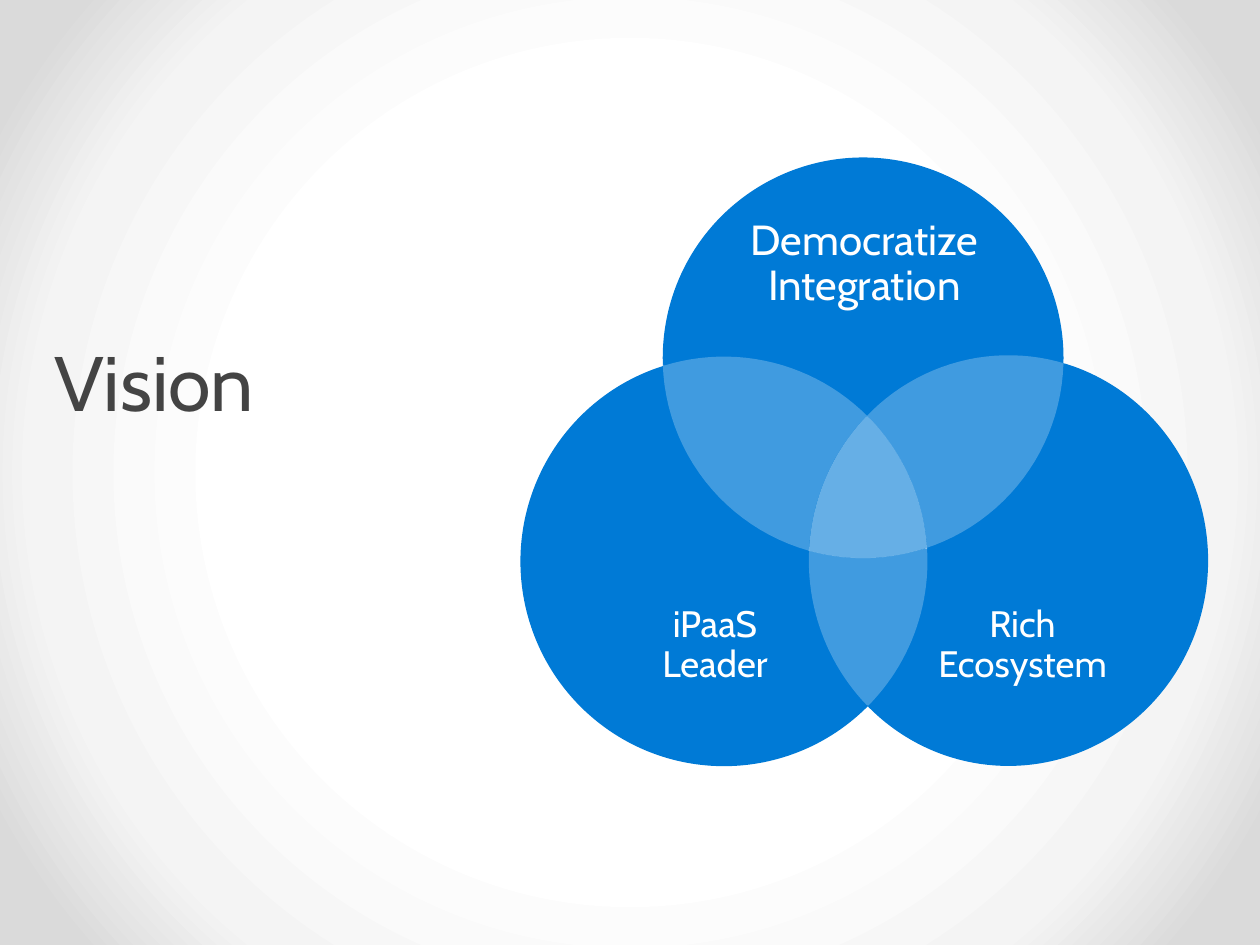
from math import atan2, cos, pi, sin

from pptx import Presentation
from pptx.dml.color import RGBColor
from pptx.enum.shapes import MSO_SHAPE
from pptx.enum.text import MSO_ANCHOR, PP_ALIGN
from pptx.oxml import parse_xml
from pptx.oxml.ns import nsdecls, qn
from pptx.util import Pt

FONT = "Cabin"
BLUE, WHITE, GREY = "007AD6", "FFFFFF", "444444"
BACKDROP = [(50, WHITE), (76, "F4F4F4"), (92, "DADADA")]

# left, top, width, height
TOP = (378.7, 90, 229, 229)
LEFT = (297.4, 203.8, 232.6, 234)
RIGHT = (462.2, 203, 228.2, 234.7)

# points where two circles cross
UPPER, LOWER = (495.4, 238.3), (495.4, 402.5)
INNER_LEFT, INNER_RIGHT = (462.2, 313.9), (528.5, 313.9)
OUTER_LEFT, OUTER_RIGHT = (379.4, 208.1), (609.1, 208.1)


def color(value):
    """Turn a hex string into a colour."""
    return RGBColor.from_string(value)


def set_backdrop(slide):
    """Give the slide its round gradient."""
    stops = "".join(
        f'<a:gs pos="{percent * 1000}"><a:srgbClr val="{value}"/></a:gs>'
        for percent, value in BACKDROP
    )
    slide.element.cSld.insert(0, parse_xml(
        f'<p:bg {nsdecls("p", "a")}><p:bgPr><a:gradFill rotWithShape="1">'
        f'<a:gsLst>{stops}</a:gsLst><a:path path="circle">'
        '<a:fillToRect l="50000" t="50000" r="50000" b="50000"/></a:path>'
        '</a:gradFill><a:effectLst/></p:bgPr></p:bg>'
    ))


def paint(shape, value, opacity=100):
    """Fill a shape without outline or shadow."""
    shape.shadow.inherit = False
    shape.line.fill.background()
    shape.fill.solid()
    shape.fill.fore_color.rgb = color(value)
    if opacity < 100:
        tint = shape.element.spPr.find(qn("a:solidFill"))[0]
        tint.append(parse_xml(f'<a:alpha {nsdecls("a")} val="{opacity * 1000}"/>'))


def format_text(frame, size, value, align):
    """Apply one style to all the text in a frame."""
    for paragraph in frame.paragraphs:
        paragraph.alignment = align
        paragraph.line_spacing = 0.9
        for run in paragraph.runs:
            run.font.name = FONT
            run.font.size = Pt(size)
            run.font.color.rgb = color(value)


def add_title(slide, wording):
    """Place the slide title."""
    title = slide.shapes.title
    title.left, title.top, title.width, title.height = map(Pt, (22.3, 192.2, 263.5, 59))
    frame = title.text_frame
    frame.text = wording
    frame.vertical_anchor = MSO_ANCHOR.TOP
    frame.margin_left = frame.margin_right = Pt(8.6)
    frame.margin_top = frame.margin_bottom = Pt(5)
    format_text(frame, 44.1, GREY, PP_ALIGN.LEFT)


def add_circle(slide, box):
    """Draw one circle of the diagram."""
    paint(slide.shapes.add_shape(MSO_SHAPE.OVAL, *map(Pt, box)), BLUE)


def add_label(slide, box, wording, size, wrap=True):
    """Write the label of a circle."""
    frame = slide.shapes.add_textbox(*map(Pt, box)).text_frame
    frame.word_wrap = wrap
    frame.text = wording
    format_text(frame, size, WHITE, PP_ALIGN.CENTER)


def arc(box, start, end, steps=24):
    """Return points along the shorter arc of a circle."""
    left, top, width, height = box
    rx, ry = width / 2, height / 2
    cx, cy = left + rx, top + ry
    first, last = (atan2((y - cy) / ry, (x - cx) / rx) for x, y in (start, end))
    sweep = (last - first + pi) % (2 * pi) - pi
    angles = [first + sweep * step / steps for step in range(steps + 1)]
    return [(Pt(cx + rx * cos(a)), Pt(cy + ry * sin(a))) for a in angles]


def add_overlap(slide, corners, circles, opacity):
    """Lighten the region bounded by arcs between its corners."""
    ends = corners[1:] + corners[:1]
    outline = [point for side in zip(circles, corners, ends) for point in arc(*side)]
    builder = slide.shapes.build_freeform(*outline[0])
    builder.add_line_segments(outline[1:], close=True)
    paint(builder.convert_to_shape(), WHITE, opacity)


def main():
    """Build the vision slide."""
    deck = Presentation()
    deck.slide_width, deck.slide_height = Pt(720), Pt(540)
    slide = deck.slides.add_slide(deck.slide_layouts[5])
    set_backdrop(slide)
    add_title(slide, "Vision")

    add_circle(slide, TOP)
    add_label(slide, (419, 121.7, 149.8, 59.8), "Democratize\nIntegration", 24, wrap=False)

    add_circle(slide, LEFT)
    add_label(slide, (328.3, 342.7, 160.6, 53.3), "iPaaS\nLeader", 21)
    add_overlap(slide, [OUTER_LEFT, UPPER, INNER_LEFT], [LEFT, RIGHT, TOP], 25)

    add_circle(slide, RIGHT)
    add_label(slide, (522, 342.7, 124.6, 53.3), "Rich\nEcosystem", 21)
    add_overlap(slide, [UPPER, INNER_RIGHT, INNER_LEFT], [LEFT, TOP, RIGHT], 40)
    add_overlap(slide, [INNER_RIGHT, LOWER, INNER_LEFT], [LEFT, RIGHT, TOP], 25)
    add_overlap(slide, [UPPER, OUTER_RIGHT, INNER_RIGHT], [RIGHT, TOP, LEFT], 25)

    deck.save("out.pptx")


if __name__ == "__main__":
    main()
